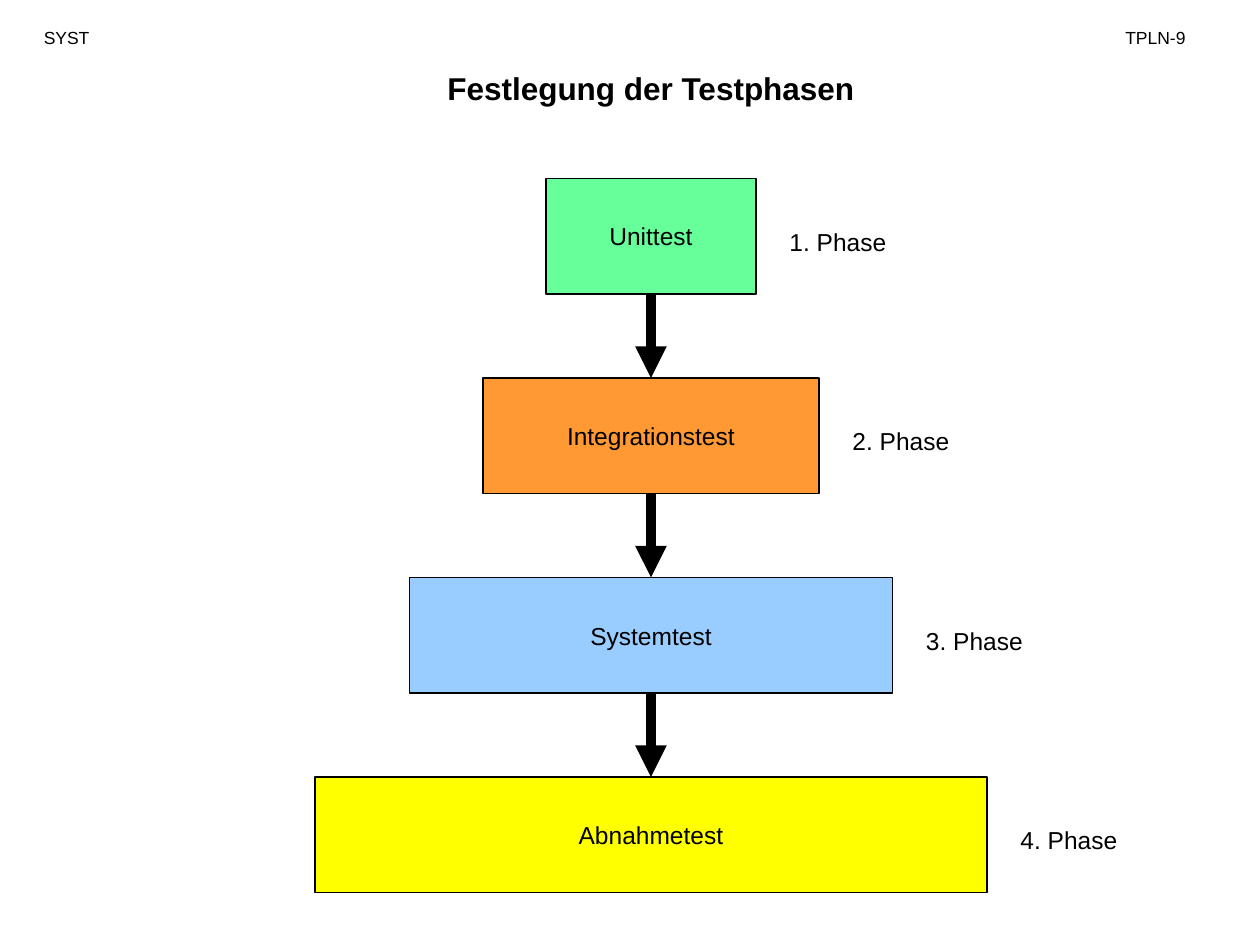
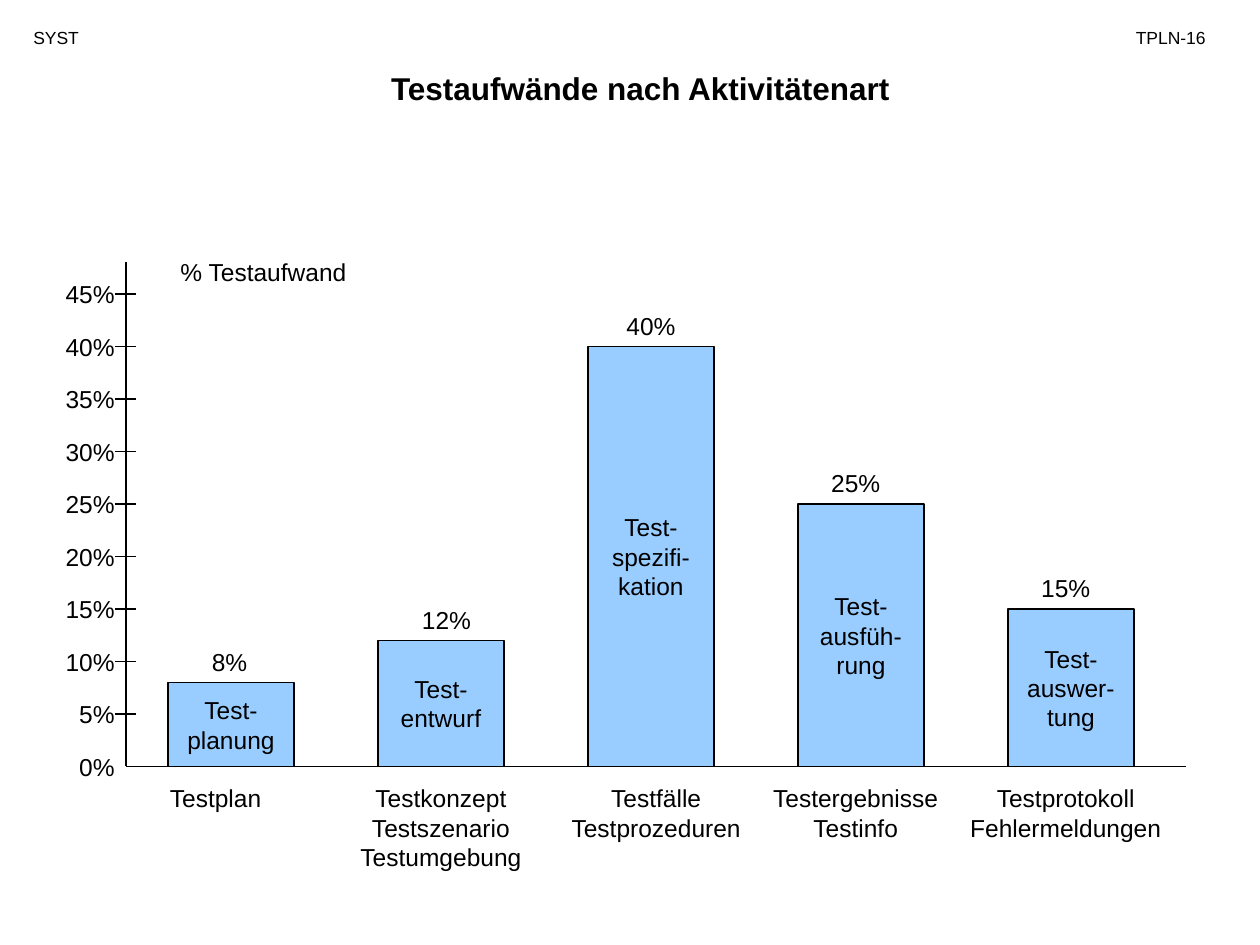
from dataclasses import dataclass
from lxml import etree
from pptx import Presentation
from pptx.dml.color import RGBColor as RGB
from pptx.enum.shapes import MSO_CONNECTOR as CONN, MSO_SHAPE as SHAPE
from pptx.enum.text import MSO_ANCHOR as ANCHOR, MSO_AUTO_SIZE as FIT, PP_ALIGN as ALIGN
from pptx.oxml.ns import qn
from pptx.util import Inches, Pt


@dataclass(frozen=True)
class Theme:
    font: str = "Arial"
    ink: str = "000000"
    green: str = "66FF99"
    orange: str = "FF9933"
    blue: str = "99CCFF"
    yellow: str = "FFFF00"
    title: int = 18
    body: int = 14
    header: int = 10
    thin: float = 0.75
    arrow: int = 6


T = Theme()
LEFT, CENTER, RIGHT = ALIGN.LEFT, ALIGN.CENTER, ALIGN.RIGHT
CELL = Inches(1) / 12  # all positions lie on a grid of twelfths of an inch


def add_text(s, text, x, y, w, h=None, size=T.body, bold=False, align=LEFT, fill=None):
    """Text box, or a filled rectangle with centred text; places in grid cells."""
    lines = text.split("\n")
    height = int(h * CELL) if h else Inches(0.1) + Pt(size * 1.2 * len(lines))
    place = int(x * CELL), int(y * CELL), int(w * CELL), height
    if fill:
        sp = s.shapes.add_shape(SHAPE.RECTANGLE, *place)
        sp.shadow.inherit = False
        sp.fill.solid()
        sp.fill.fore_color.rgb = RGB.from_string(fill)
        sp.line.color.rgb = RGB.from_string(T.ink)
        sp.line.width = Pt(T.thin)
    else:
        sp = s.shapes.add_textbox(*place)
    tf = sp.text_frame
    tf.word_wrap = not fill
    tf.auto_size = FIT.NONE if fill else FIT.SHAPE_TO_FIT_TEXT
    tf.vertical_anchor = ANCHOR.MIDDLE if fill else ANCHOR.TOP
    for i, line in enumerate(lines):
        p = tf.add_paragraph() if i else tf.paragraphs[0]
        p.alignment = CENTER if fill else align
        r = p.add_run()
        r.text = line
        r.font.name, r.font.size, r.font.bold = T.font, Pt(size), bold
        r.font.color.rgb = RGB.from_string(T.ink)
    return sp


def add_line(s, x1, y1, x2, y2, width=T.thin, arrow=False):
    ends = [int(v * CELL) for v in (x1, y1, x2, y2)]
    line = s.shapes.add_connector(CONN.STRAIGHT, *ends)
    line.line.color.rgb = RGB.from_string(T.ink)
    line.line.width = Pt(width)
    if arrow:
        etree.SubElement(line.line._get_or_add_ln(), qn("a:tailEnd"), type="triangle")
    etree.SubElement(line._element.spPr, qn("a:effectLst"))
    return line


prs = Presentation()
prs.slide_width, prs.slide_height = Inches(10), Inches(7.5)

# Titles and page headers
headers = [
    ("Festlegung der Testphasen", 26, 3, "TPLN-9", 106, LEFT),
    ("Testaufwände nach Aktivitätenart", 25, 2, "TPLN-16", 104, RIGHT),
]
slides = []
for title, title_x, course_x, page, page_x, page_align in headers:
    s = prs.slides.add_slide(prs.slide_layouts[6])
    add_text(s, title, title_x, 6, 72, size=T.title, bold=True, align=CENTER)
    add_text(s, "SYST", course_x, 2, 11, size=T.header)
    add_text(s, page, page_x, 2, 12, size=T.header, align=page_align)
    slides.append(s)
phases_slide, effort_slide = slides

# Test phases: centred boxes that widen downwards
phases = [
    ("Unittest", 20, T.green),
    ("Integrationstest", 32, T.orange),
    ("Systemtest", 46, T.blue),
    ("Abnahmetest", 64, T.yellow),
]
AXIS_X, FIRST_Y, STEP_Y, BOX_H = 62, 17, 19, 11
boxes = []
for i, (name, w, color) in enumerate(phases):
    x, y = AXIS_X - w / 2, FIRST_Y + i * STEP_Y
    boxes.append(add_text(phases_slide, name, x, y, w, BOX_H, fill=color))
    add_text(phases_slide, f"{i + 1}. Phase", x + w + 2, y + 4, 14)

# Arrows from phase to phase
for i, (upper, lower) in enumerate(zip(boxes, boxes[1:])):
    y = FIRST_Y + i * STEP_Y
    arrow = add_line(phases_slide, AXIS_X, y + BOX_H, AXIS_X, y + STEP_Y, T.arrow, True)
    arrow.begin_connect(upper, 2)
    arrow.end_connect(lower, 0)

# Effort axes: one grid cell is one percent
BASE_Y, ORIGIN_X = 73, 12
add_line(effort_slide, ORIGIN_X, BASE_Y, 113, BASE_Y)
add_line(effort_slide, ORIGIN_X, 25, ORIGIN_X, BASE_Y)
add_text(effort_slide, "% Testaufwand", 16, 23.9, 31)
for percent in range(0, 50, 5):
    y = BASE_Y - percent
    if percent:
        add_line(effort_slide, ORIGIN_X - 1, y, ORIGIN_X + 1, y)
    add_text(effort_slide, f"{percent}%", 4, y - 2, 8.1, align=RIGHT)

# Bars: percent, activity, value label place, results and their place
activities = [
    (8, "Test-\nplanung", (19, 6, LEFT), "Testplan", (15, 12, LEFT)),
    (12, "Test-\nentwurf", (39, 8, LEFT),
     "Testkonzept\nTestszenario\nTestumgebung", (32, 20, CENTER)),
    (40, "Test-\nspezifi-\nkation", (58, 8, CENTER),
     "Testfälle\nTestprozeduren", (53, 19, CENTER)),
    (25, "Test-\nausfüh-\nrung", (76, 11, CENTER),
     "Testergebnisse\nTestinfo", (72, 19, CENTER)),
    (15, "Test-\nauswer-\ntung", (96, 11, CENTER),
     "Testprotokoll\nFehlermeldungen", (91, 21, CENTER)),
]
for i, (percent, activity, value_at, results, results_at) in enumerate(activities):
    top = BASE_Y - percent
    add_text(effort_slide, activity, 16 + 20 * i, top, 12, percent, fill=T.blue)
    x, w, align = value_at
    add_text(effort_slide, f"{percent}%", x, top - 4, w, align=align)
    x, w, align = results_at
    add_text(effort_slide, results, x, BASE_Y + 1, w, align=align)

prs.save("out.pptx")
